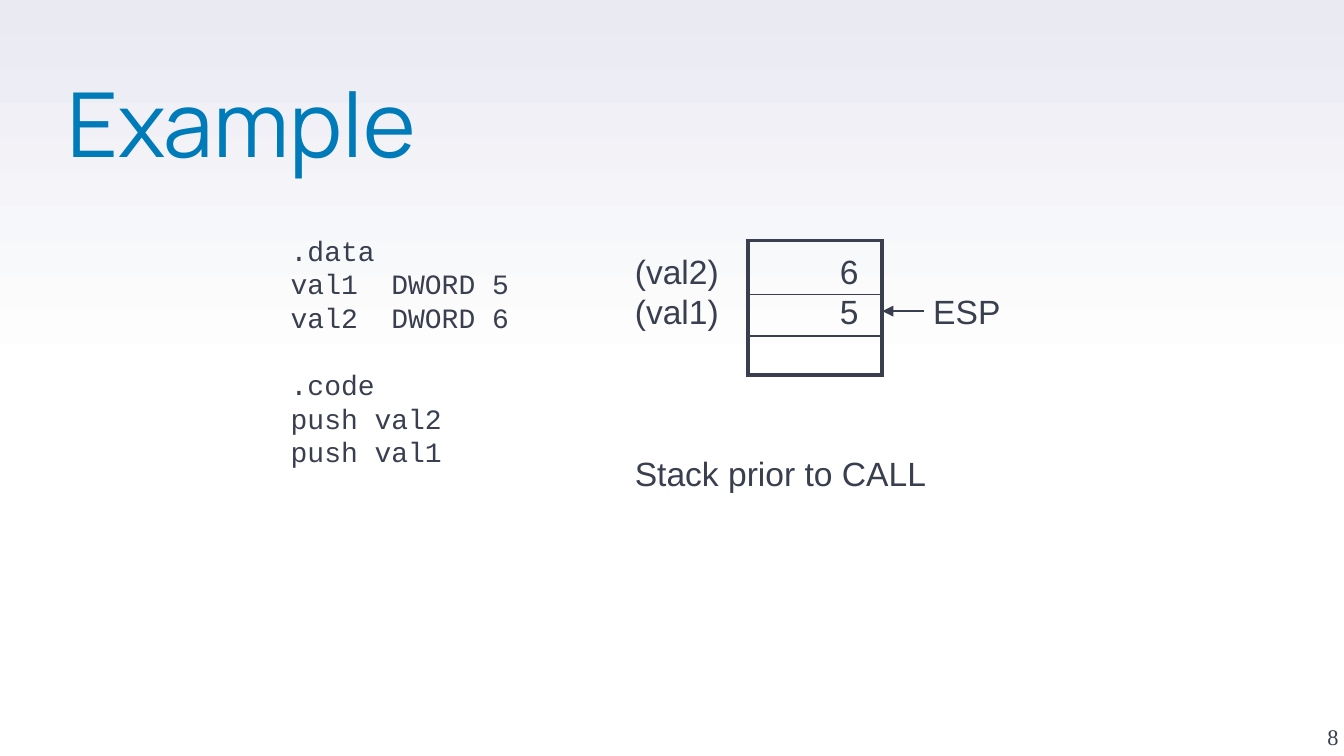
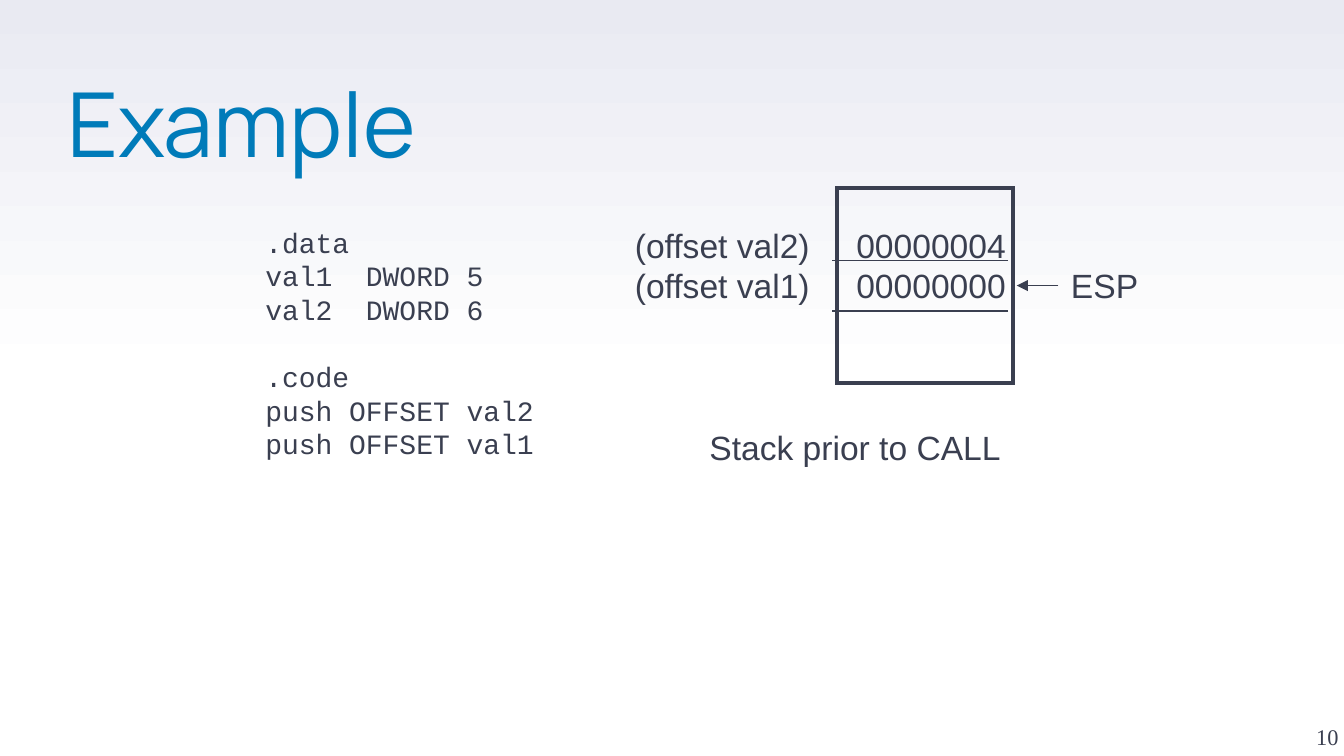
from copy import deepcopy
from dataclasses import dataclass

from lxml.etree import SubElement
from pptx import Presentation
from pptx.dml.color import RGBColor
from pptx.enum.shapes import MSO_CONNECTOR, MSO_SHAPE
from pptx.enum.text import MSO_ANCHOR as Anchor, MSO_AUTO_SIZE, PP_ALIGN as Align
from pptx.oxml.ns import qn
from pptx.slide import Slide, SlideMaster
from pptx.text.text import TextFrame, _Paragraph as Paragraph
from pptx.util import Pt

PX = 4572
SLIDE_WIDTH, SLIDE_HEIGHT = 2000, 1125
COLORS = {"title": "007BB9", "ink": "3A3F50", "paper": "FFFFFF", "haze": "E9EAF2"}
TITLE_ONLY_LAYOUT = 5
CODE_GAP = Pt(18)
CAPTION_GAP = Pt(65)
TEXT_INSET = (20, 22)


@dataclass(frozen=True)
class Box:
    left: int
    top: int
    width: int
    height: int

    def emu(self) -> tuple[int, int, int, int]:
        return self.left * PX, self.top * PX, self.width * PX, self.height * PX


@dataclass(frozen=True)
class Line:
    start: int
    end: int
    y: int
    arrow: bool = False


@dataclass(frozen=True)
class StackExample:
    number: str
    code: tuple[str, ...]
    code_box: Box
    entries: tuple[str, ...]
    entries_box: Box
    value_tab: int
    pointer_tab: int
    caption_indent: int
    frame: Box
    lines: tuple[Line, ...]


TITLE_BOX = Box(100, 132, 1792, 236)
NUMBER_BOX = Box(1892, 1014, 100, 102)
DATA = (".data", "val1  DWORD 5", "val2  DWORD 6", ".code")

EXAMPLES = (
    StackExample(
        number="8",
        code=DATA + ("push val2", "push val1"),
        code_box=Box(413, 325, 368, 450),
        entries=("(val2)\t6", "(val1)\t5\tESP"),
        entries_box=Box(925, 351, 590, 408),
        value_tab=333,
        pointer_tab=444,
        caption_indent=0,
        frame=Box(1113, 358, 200, 200),
        lines=(Line(1313, 1113, 438), Line(1313, 1113, 500), Line(1375, 1313, 463, True)),
    ),
    StackExample(
        number="10",
        code=DATA + ("push OFFSET val2", "push OFFSET val1"),
        code_box=Box(375, 313, 444, 450),
        entries=("(offset val2)\t00000004", "(offset val1)\t00000000\tESP"),
        entries_box=Box(925, 313, 798, 408),
        value_tab=552,
        pointer_tab=649,
        caption_indent=111,
        frame=Box(1246, 280, 262, 290),
        lines=(Line(1500, 1238, 388), Line(1500, 1238, 463), Line(1575, 1513, 425, True)),
    ),
)


def rgb(name: str) -> RGBColor:
    return RGBColor.from_string(COLORS[name])


def paint_background(master: SlideMaster) -> None:
    fill = master.background.fill
    fill.gradient()
    fill.gradient_angle = 90
    for stop, color in zip(fill.gradient_stops, ("paper", "haze")):
        stop.color.rgb = rgb(color)
    stops = master.element.find(".//" + qn("a:gsLst"))
    middle = deepcopy(stops[0])
    middle.set("pos", "50000")
    stops.insert(1, middle)


def write(frame: TextFrame, text: str, font: str, size: int, color: str = "ink",
          inset: tuple[int, int] = (0, 0), anchor: Anchor = Anchor.TOP,
          align: Align = Align.LEFT) -> None:
    frame.text = text
    frame.word_wrap = True
    frame.auto_size = MSO_AUTO_SIZE.NONE
    frame.vertical_anchor = anchor
    frame.margin_left = frame.margin_right = inset[0] * PX
    frame.margin_top = frame.margin_bottom = inset[1] * PX
    for paragraph in frame.paragraphs:
        paragraph.alignment = align
        for run in paragraph.runs:
            run.font.name = font
            run.font.size = Pt(size)
            run.font.color.rgb = rgb(color)


def add_text(slide: Slide, box: Box, text: str, font: str, size: int, **style) -> TextFrame:
    frame = slide.shapes.add_textbox(*box.emu()).text_frame
    write(frame, text, font, size, **style)
    return frame


def set_tabs(paragraph: Paragraph, value_tab: int, pointer_tab: int) -> None:
    tabs = SubElement(paragraph._p.get_or_add_pPr(), qn("a:tabLst"))
    for position, align in ((value_tab, "r"), (pointer_tab, "l")):
        SubElement(tabs, qn("a:tab"), pos=str(position * PX), algn=align)


def add_title(slide: Slide, text: str) -> None:
    title = slide.shapes.title
    title.left, title.top, title.width, title.height = TITLE_BOX.emu()
    write(title.text_frame, text, "Manrope", 48, "title")
    title.text_frame.paragraphs[0].line_spacing = 0.8


def add_code(slide: Slide, example: StackExample) -> None:
    code = add_text(slide, example.code_box, "\n".join(example.code),
                    "Courier New", 15, inset=TEXT_INSET)
    code.paragraphs[example.code.index(".code")].space_before = CODE_GAP


def add_stack(slide: Slide, example: StackExample) -> None:
    frame = slide.shapes.add_shape(MSO_SHAPE.RECTANGLE, *example.frame.emu())
    frame.shadow.inherit = False
    frame.fill.background()
    frame.line.color.rgb = rgb("ink")
    frame.line.width = Pt(2)
    SubElement(frame.line._get_or_add_ln(), qn("a:miter"), lim="800000")

    stack = add_text(slide, example.entries_box,
                     "\n".join(example.entries + ("Stack prior to CALL",)),
                     "Arial", 18, inset=TEXT_INSET)
    *entries, caption = stack.paragraphs
    for entry in entries:
        set_tabs(entry, example.value_tab, example.pointer_tab)
    caption.space_before = CAPTION_GAP
    caption._p.get_or_add_pPr().set("marL", str(example.caption_indent * PX))

    for line in example.lines:
        add_line(slide, line)


def add_line(slide: Slide, line: Line) -> None:
    connector = slide.shapes.add_connector(
        MSO_CONNECTOR.STRAIGHT, line.start * PX, line.y * PX, line.end * PX, line.y * PX)
    connector.line.color.rgb = rgb("ink")
    connector.line.width = Pt(0.75)
    if line.arrow:
        SubElement(connector.line._get_or_add_ln(), qn("a:tailEnd"), type="triangle")
    SubElement(connector._element.spPr, qn("a:effectLst"))


def main() -> None:
    deck = Presentation()
    deck.slide_width, deck.slide_height = SLIDE_WIDTH * PX, SLIDE_HEIGHT * PX
    paint_background(deck.slide_master)
    for example in EXAMPLES:
        slide = deck.slides.add_slide(deck.slide_layouts[TITLE_ONLY_LAYOUT])
        add_title(slide, "Example")
        add_text(slide, NUMBER_BOX, example.number, "Times New Roman", 12,
                 anchor=Anchor.BOTTOM, align=Align.RIGHT)
        add_code(slide, example)
        add_stack(slide, example)
    deck.save("out.pptx")


if __name__ == "__main__":
    main()
